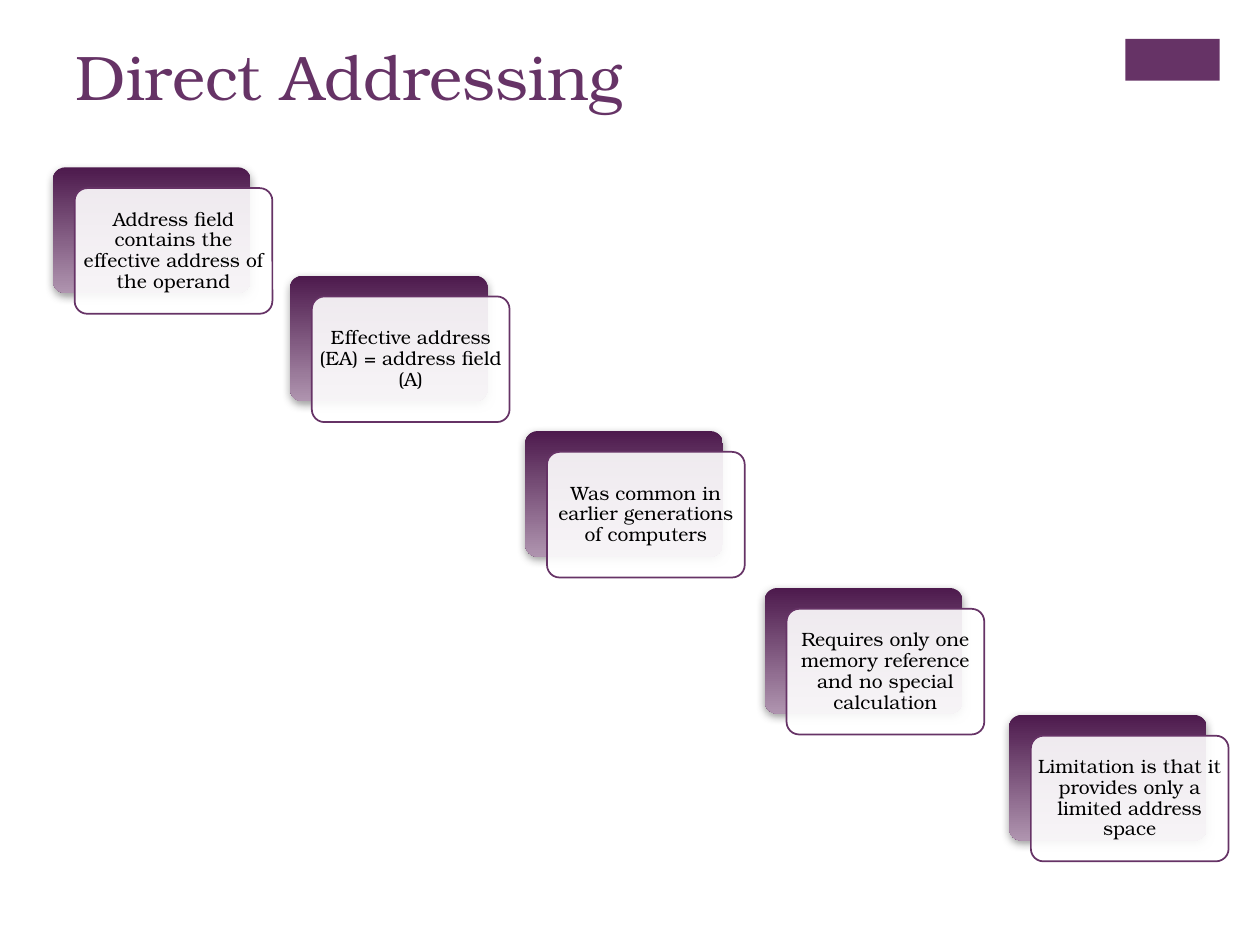
from lxml import etree
from pptx import Presentation
from pptx.dml.color import RGBColor
from pptx.enum.shapes import MSO_SHAPE
from pptx.enum.text import MSO_ANCHOR, MSO_AUTO_SIZE, PP_ALIGN
from pptx.oxml.ns import qn
from pptx.util import Pt

RECTANGLE, ROUNDED = MSO_SHAPE.RECTANGLE, MSO_SHAPE.ROUNDED_RECTANGLE
TOP, MIDDLE = MSO_ANCHOR.TOP, MSO_ANCHOR.MIDDLE
LEFT, CENTER = PP_ALIGN.LEFT, PP_ALIGN.CENTER
NO_AUTO_SIZE = MSO_AUTO_SIZE.NONE

# Content: title, then each card as (left, top, text)
TITLE = "Direct Addressing"
CARDS = [
    (30.2, 95.6, "Address field contains the effective address of the operand"),
    (165.7, 157.5, "Effective address (EA) = address field (A)"),
    (300.1, 246.3, "Was common in earlier generations of computers"),
    (437, 336, "Requires only one memory reference and no special calculation"),
    (576.6, 408.5, "Limitation is that it provides only a limited address space"),
]

COLORS = {
    "plum": "663366",
    "dark": "4D1A4D",
    "light": "AF94AF",
    "shadow": "808080",
    "panel": "FFFFFF",
    "text": "000000",
}
FONT = "TeX Gyre Bonum"
CARD_WIDTH, CARD_HEIGHT = 113, 71.8
PANEL_SHIFT = (12.5, 11.9)
PANEL_OPACITY = 90
SHADOW = {"blur": 5, "distance": 2, "angle": 90, "opacity": 75}

TITLE_FRAME = {"vertical_anchor": TOP, "word_wrap": True, "auto_size": NO_AUTO_SIZE}
# The rounded corners add about 2 pt to these side margins
PANEL_FRAME = {
    "vertical_anchor": MIDDLE, "word_wrap": True,
    "margin_left": Pt(1.5), "margin_right": Pt(1.5),
    "margin_top": Pt(1.5), "margin_bottom": Pt(1.5),
}


def color(name):
    return RGBColor.from_string(COLORS[name])


def set_values(target, values):
    for name, value in values.items():
        setattr(target, name, value)


def write_text(shape, text, size, color_name, frame_format, paragraph_format):
    frame = shape.text_frame
    set_values(frame, frame_format)
    paragraph = frame.paragraphs[0]
    set_values(paragraph, paragraph_format)
    run = paragraph.add_run()
    run.text = text
    set_values(run.font, {"name": FONT, "size": Pt(size)})
    run.font.color.rgb = color(color_name)


def add_box(slide, kind, left, top, width, height):
    shape = slide.shapes.add_shape(kind, Pt(left), Pt(top), Pt(width), Pt(height))
    shape.shadow.inherit = False
    shape.line.fill.background()
    if kind == ROUNDED:
        shape.adjustments[0] = 0.1
    return shape


def fill_solid(shape, color_name):
    shape.fill.solid()
    shape.fill.fore_color.rgb = color(color_name)


def add_alpha(color_element, percent):
    etree.SubElement(color_element, qn("a:alpha"), val=str(percent * 1000))


def add_shadow(shape):
    effects = shape.element.spPr.find(qn("a:effectLst"))
    outer = etree.SubElement(
        effects, qn("a:outerShdw"),
        blurRad=str(Pt(SHADOW["blur"])), dist=str(Pt(SHADOW["distance"])),
        dir=str(SHADOW["angle"] * 60000), rotWithShape="0",
    )
    shade = etree.SubElement(outer, qn("a:srgbClr"), val=COLORS["shadow"])
    add_alpha(shade, SHADOW["opacity"])


def add_card(slide, left, top, text):
    # Gradient back plate
    back = add_box(slide, ROUNDED, left, top, CARD_WIDTH, CARD_HEIGHT)
    back.fill.gradient()
    back.fill.gradient_angle = 270
    for stop, name in zip(back.fill.gradient_stops, ("dark", "light")):
        stop.color.rgb = color(name)
    add_shadow(back)

    # Translucent front panel with the text
    shift_x, shift_y = PANEL_SHIFT
    panel = add_box(slide, ROUNDED, left + shift_x, top + shift_y,
                    CARD_WIDTH, CARD_HEIGHT)
    fill_solid(panel, "panel")
    add_alpha(panel.element.spPr.find(qn("a:solidFill"))[0], PANEL_OPACITY)
    panel.line.color.rgb = color("plum")
    panel.line.width = Pt(1)
    write_text(panel, text, 11, "text", PANEL_FRAME,
               {"alignment": CENTER, "line_spacing": 0.9})


def main():
    presentation = Presentation()
    set_values(presentation, {"slide_width": Pt(720), "slide_height": Pt(540)})
    slide = presentation.slides.add_slide(presentation.slide_layouts[5])

    # Corner block
    fill_solid(add_box(slide, RECTANGLE, 643, 22.3, 54, 23.8), "plum")

    # Staircase of cards
    for left, top, text in CARDS:
        add_card(slide, left, top, text)

    # Title
    title = slide.shapes.title
    set_values(title, {"left": Pt(36), "top": Pt(18),
                       "width": Pt(595), "height": Pt(88)})
    write_text(title, TITLE, 36, "plum", TITLE_FRAME, {"alignment": LEFT})

    presentation.save("out.pptx")


if __name__ == "__main__":
    main()
